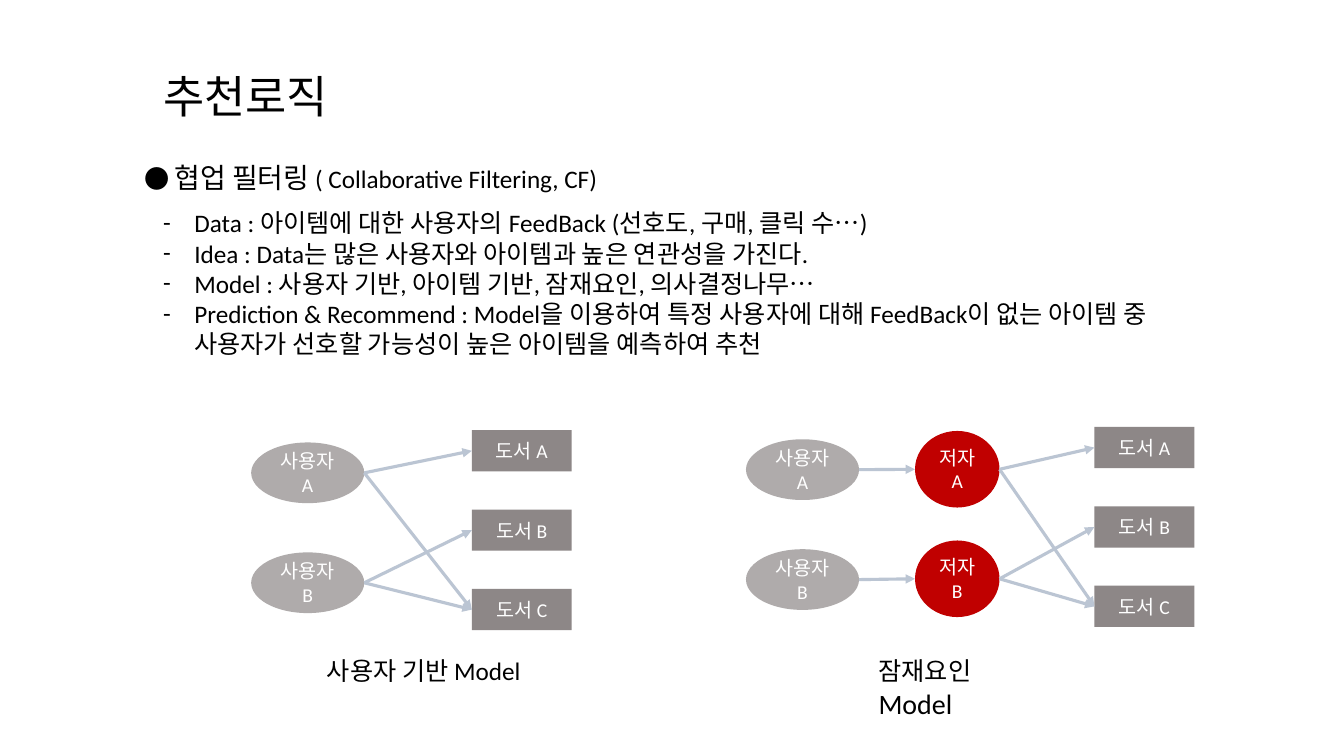
from dataclasses import dataclass

from lxml.etree import SubElement
from pptx import Presentation
from pptx.dml.color import RGBColor
from pptx.enum.shapes import MSO_CONNECTOR, MSO_SHAPE
from pptx.enum.text import MSO_ANCHOR, PP_ALIGN
from pptx.oxml.ns import qn
from pptx.util import Cm, Pt


@dataclass(frozen=True)
class Theme:
    latin: str = "Calibri"
    korean: str = "Noto Sans CJK KR"
    ink: RGBColor = RGBColor(0x00, 0x00, 0x00)
    label: RGBColor = RGBColor(0xFF, 0xFF, 0xFF)
    user: RGBColor = RGBColor(0xAF, 0xAB, 0xAB)
    author: RGBColor = RGBColor(0xC0, 0x00, 0x00)
    book: RGBColor = RGBColor(0x8D, 0x87, 0x87)
    arrow: RGBColor = RGBColor(0xBB, 0xC5, 0xD3)
    title_size: Pt = Pt(32)
    heading_size: Pt = Pt(20)
    body_size: Pt = Pt(18)
    node_size: Pt = Pt(14)
    arrow_width: Pt = Pt(2.25)


THEME = Theme()

POINTS = [
    "Data : 아이템에 대한 사용자의 FeedBack (선호도, 구매, 클릭 수…)",
    "Idea : Data는 많은 사용자와 아이템과 높은 연관성을 가진다.",
    "Model : 사용자 기반, 아이템 기반, 잠재요인, 의사결정나무…",
    "Prediction & Recommend : Model을 이용하여 특정 사용자에 대해 FeedBack이 없는 "
    "아이템 중 사용자가 선호할 가능성이 높은 아이템을 예측하여 추천",
]
# Index of the source node and of the book it leads to
BOOK_LINKS = [(0, 0), (0, 2), (1, 2), (1, 1)]


def add_run(paragraph, text, size, color=THEME.ink):
    run = paragraph.add_run()
    run.text = text
    run.font.size = size
    run.font.name = THEME.latin
    run.font.color.rgb = color
    SubElement(run.font._element, qn("a:ea"), typeface=THEME.korean)


def add_text_frame(slide, left, top, width, height, wrap=True):
    frame = slide.shapes.add_textbox(Cm(left), Cm(top), Cm(width), Cm(height)).text_frame
    frame.word_wrap = wrap
    return frame


def add_line_of_text(slide, box, runs, align=PP_ALIGN.LEFT, wrap=True):
    """Adds a one-paragraph text box from (text, size) pairs."""
    frame = add_text_frame(slide, *box, wrap=wrap)
    paragraph = frame.paragraphs[0]
    paragraph.alignment = align
    for text, size in runs:
        add_run(paragraph, text, size)
    return frame


def add_dash_list(slide, box, points):
    frame = add_text_frame(slide, *box)
    for number, point in enumerate(points):
        paragraph = frame.add_paragraph() if number else frame.paragraphs[0]
        properties = paragraph._p.get_or_add_pPr()
        properties.set("marL", str(Cm(0.79)))
        properties.set("indent", str(-Cm(0.79)))
        SubElement(properties, qn("a:buFont"), typeface=THEME.latin)
        SubElement(properties, qn("a:buChar"), char="-")
        add_run(paragraph, point, THEME.body_size)


def add_node_column(slide, preset, color, labels, left, top, width, height, step):
    """Stacks labelled nodes at an equal step and returns them."""
    nodes = []
    for row, label in enumerate(labels):
        node = slide.shapes.add_shape(
            preset, Cm(left), Cm(top + row * step), Cm(width), Cm(height))
        node.shadow.inherit = False
        node.fill.solid()
        node.fill.fore_color.rgb = color
        node.line.fill.background()
        node.text_frame.word_wrap = True
        node.text_frame.vertical_anchor = MSO_ANCHOR.MIDDLE
        paragraph = node.text_frame.paragraphs[0]
        paragraph.alignment = PP_ALIGN.CENTER
        add_run(paragraph, label, THEME.node_size, THEME.label)
        nodes.append(node)
    return nodes


def add_users(slide, left, top):
    return add_node_column(slide, MSO_SHAPE.OVAL, THEME.user, ["사용자 A", "사용자 B"],
                           left, top, 2.85, 1.53, 2.77)


def add_authors(slide, left, top):
    return add_node_column(slide, MSO_SHAPE.OVAL, THEME.author, ["저자 A", "저자 B"],
                           left, top, 2.13, 1.93, 2.76)


def add_books(slide, left, top):
    return add_node_column(slide, MSO_SHAPE.RECTANGLE, THEME.book,
                           ["도서 A", "도서 B", "도서 C"], left, top, 2.52, 1.04, 2)


def add_arrow(slide, source, target):
    """Joins the right edge of source to the left edge of target."""
    arrow = slide.shapes.add_connector(
        MSO_CONNECTOR.STRAIGHT,
        source.left + source.width, source.top + source.height // 2,
        target.left, target.top + target.height // 2)
    arrow.line.color.rgb = THEME.arrow
    arrow.line.width = THEME.arrow_width
    SubElement(arrow.line._get_or_add_ln(), qn("a:tailEnd"), type="triangle")
    SubElement(arrow._element.spPr, qn("a:effectLst"))


def link_books(slide, sources, books):
    for source, book in BOOK_LINKS:
        add_arrow(slide, sources[source], books[book])


def add_user_model(slide):
    users = add_users(slide, 6.33, 11.15)
    books = add_books(slide, 11.89, 10.84)
    link_books(slide, users, books)
    add_line_of_text(slide, (7.39, 16.38, 6.58, 1.02),
                     [("사용자 기반 ", THEME.body_size), ("Model", THEME.body_size)],
                     PP_ALIGN.CENTER)


def add_latent_factor_model(slide):
    users = add_users(slide, 18.8, 11.07)
    authors = add_authors(slide, 23.06, 10.86)
    books = add_books(slide, 27.58, 10.76)
    for user, author in zip(users, authors):
        add_arrow(slide, user, author)
    link_books(slide, authors, books)
    add_line_of_text(slide, (21.89, 16.33, 4.4, 1.12),
                     [("잠재요인", THEME.body_size), (" Model", THEME.heading_size)])


def main():
    presentation = Presentation()
    presentation.slide_width, presentation.slide_height = Cm(33.87), Cm(19.05)
    slide = presentation.slides.add_slide(presentation.slide_layouts[6])

    title = add_line_of_text(slide, (3.86, 1.65, 6.15, 1.7),
                             [("추천로직", THEME.title_size)])
    title.vertical_anchor = MSO_ANCHOR.MIDDLE
    title.paragraphs[0].line_spacing = 0.9

    add_line_of_text(slide, (3.38, 3.91, 28.5, 1.12), [
        ("● ", THEME.body_size),
        ("협업", THEME.heading_size),
        (" ", THEME.body_size),
        ("필터링", THEME.heading_size),
        (" ( Collaborative Filtering, CF)", THEME.body_size),
    ])
    add_dash_list(slide, (3.86, 5.11, 26.24, 4.11), POINTS)
    add_user_model(slide)
    add_latent_factor_model(slide)
    presentation.save("out.pptx")


if __name__ == "__main__":
    main()
